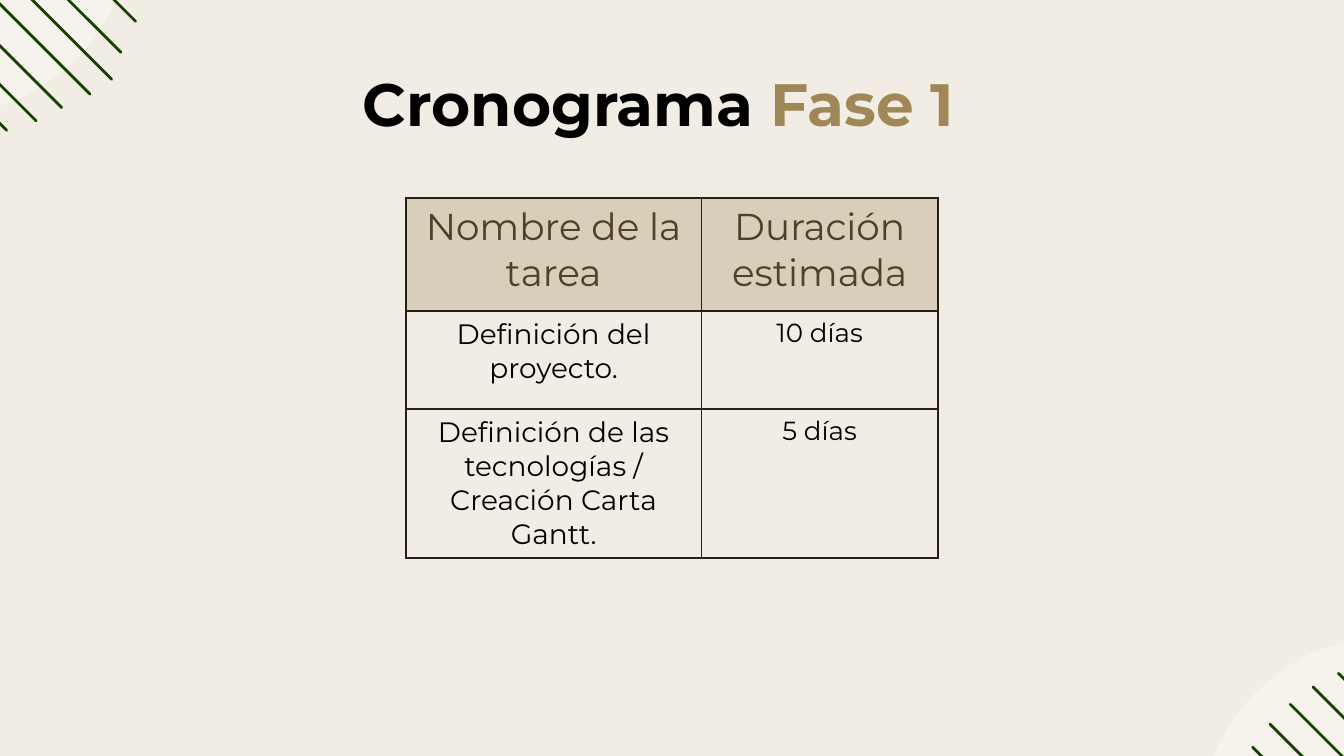
from lxml.etree import SubElement
from pptx import Presentation
from pptx.dml.color import RGBColor
from pptx.enum.shapes import MSO_CONNECTOR as CONNECTOR, MSO_SHAPE as SHAPE
from pptx.enum.text import MSO_AUTO_SIZE as AUTO_SIZE, PP_ALIGN as ALIGN
from pptx.oxml import parse_xml
from pptx.oxml.ns import nsdecls, qn
from pptx.util import Pt

CREAM = RGBColor(0xF2, 0xED, 0xE4)
WHITE = RGBColor(0xFF, 0xFF, 0xFF)
GREEN = RGBColor(0x15, 0x40, 0x01)
BLACK = RGBColor(0x00, 0x00, 0x00)
GOLD = RGBColor(0xA0, 0x87, 0x57)
SAND = RGBColor(0xD9, 0xCE, 0xB9)
BROWN = RGBColor(0x4F, 0x41, 0x26)
BORDER = RGBColor(0x26, 0x1E, 0x17)
FONT = "Montserrat"


def format_run(run, size, color, bold=False):
    run.font.name = FONT
    run.font.size = Pt(size)
    run.font.bold = bold
    run.font.color.rgb = color


presentation = Presentation()
presentation.slide_width = Pt(720)
presentation.slide_height = Pt(405)
slide = presentation.slides.add_slide(presentation.slide_layouts[6])
slide.background.fill.solid()
slide.background.fill.fore_color.rgb = CREAM

bottom_stripes = [
    (671, 400.3, 140), (680.4, 388, 145.5), (691.2, 377.3, 138),
    (703.4, 368, 141), (717, 360.7, 134),
]
top_stripes = [
    (3.6, 69.8, -123), (19.4, 64.8, -133.5), (33.1, 57.6, -140),
    (48.2, 50.4, -146), (59.8, 42.5, -148), (64.8, 28.1, -141),
    (72.7, 11.5, -134),
]
corners = [(643, 340.6, bottom_stripes), (-135.4, -142.6, top_stripes)]

for left, top, stripes in corners:
    circle = slide.shapes.add_shape(SHAPE.OVAL, Pt(left), Pt(top), Pt(206), Pt(204.5))
    circle.shadow.inherit = False
    circle.fill.solid()
    circle.fill.fore_color.rgb = WHITE
    circle.line.fill.background()
    color = circle.fill._xPr.find(qn("a:solidFill"))[0]
    SubElement(color, qn("a:alpha"), val="36000")
    for x, y, reach in stripes:
        stripe = slide.shapes.add_connector(
            CONNECTOR.STRAIGHT, Pt(x), Pt(y), Pt(x + reach), Pt(y + reach))
        stripe.line.color.rgb = GREEN
        stripe.line.width = Pt(1.5)
        properties = stripe._element.spPr
        properties.find(qn("a:ln")).set("cap", "rnd")
        SubElement(properties, qn("a:effectLst"))

title = slide.shapes.add_textbox(Pt(187.2), Pt(32.4), Pt(346.3), Pt(46))
title.text_frame.word_wrap = True
title.text_frame.auto_size = AUTO_SIZE.SHAPE_TO_FIT_TEXT
paragraph = title.text_frame.paragraphs[0]
for text, color in [("Cronograma ", BLACK), ("Fase 1", GOLD)]:
    run = paragraph.add_run()
    run.text = text
    format_run(run, 32, color, bold=True)

rows = [
    ("Nombre de la tarea", "Duración estimada"),
    ("Definición del proyecto.", "10 días"),
    ("Definición de las tecnologías / Creación Carta Gantt.", "5 días"),
]
column_widths = [158.4, 126.7]
row_heights = [60.5, 52.6, 79.8]
table = slide.shapes.add_table(
    len(rows), len(column_widths), Pt(217.4), Pt(106),
    Pt(sum(column_widths)), Pt(sum(row_heights))).table
table.first_row = False
table.horz_banding = False
for column, width in zip(table.columns, column_widths):
    column.width = Pt(width)
for row, height in zip(table.rows, row_heights):
    row.height = Pt(height)

for row_index, texts in enumerate(rows):
    for column_index, text in enumerate(texts):
        cell = table.cell(row_index, column_index)
        cell_properties = cell._tc.get_or_add_tcPr()
        for side in ("lnL", "lnR", "lnT", "lnB"):
            cell_properties.append(parse_xml(
                f'<a:{side} {nsdecls("a")} w="{Pt(1)}"><a:solidFill>'
                f'<a:srgbClr val="{BORDER}"/></a:solidFill></a:{side}>'))
        cell.text_frame.text = text
        paragraph = cell.text_frame.paragraphs[0]
        paragraph.alignment = ALIGN.CENTER
        if row_index == 0:
            cell.fill.solid()
            cell.fill.fore_color.rgb = SAND
            format_run(paragraph.runs[0], 20, BROWN)
        else:
            cell.fill.background()
            format_run(paragraph.runs[0], 15 - column_index, BLACK)

presentation.save("out.pptx")
